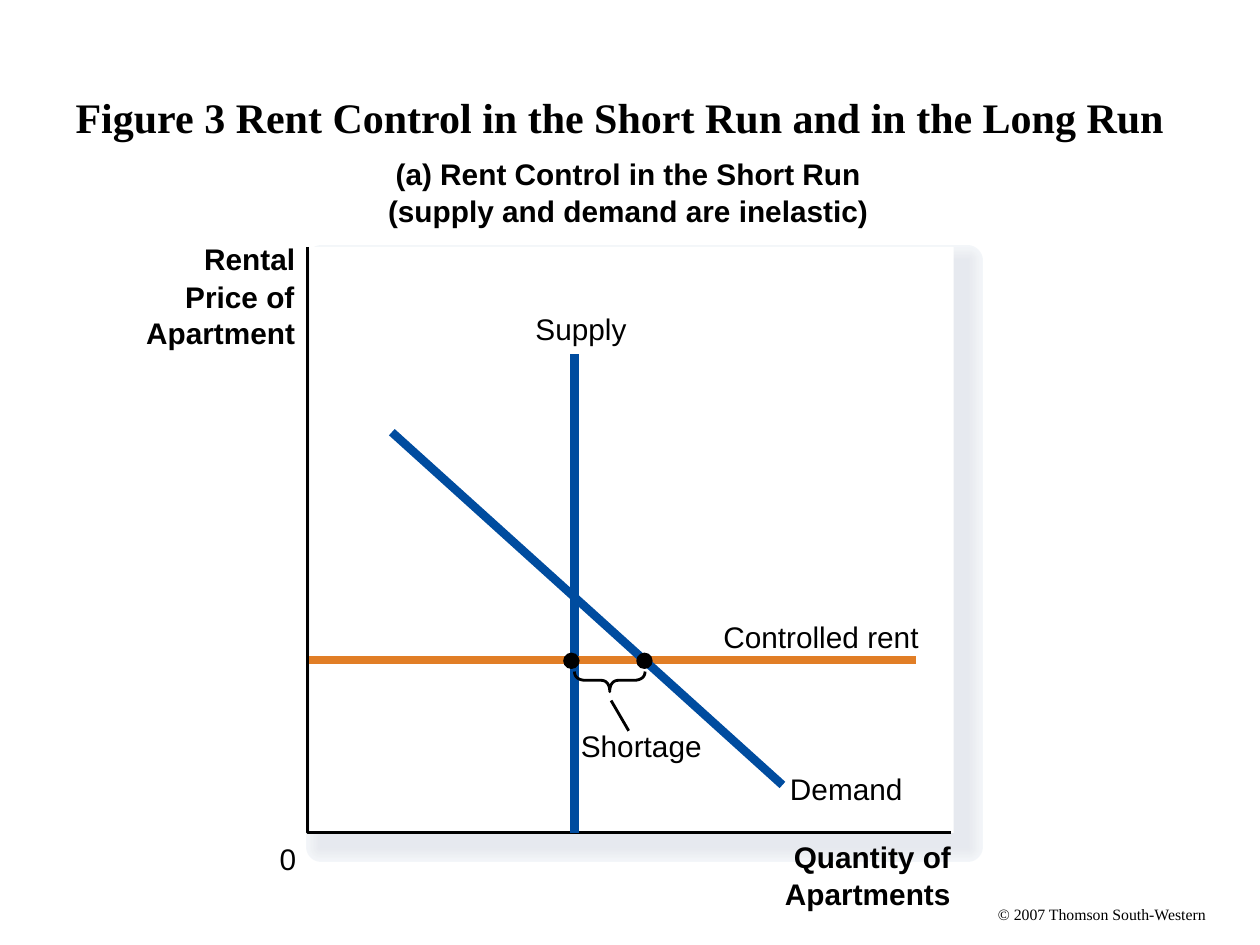
import dataclasses

import pptx
import pptx.dml.color
import pptx.enum.shapes
import pptx.enum.text
import pptx.oxml
import pptx.oxml.ns
import pptx.util

Inches = pptx.util.Inches
Shapes = pptx.enum.shapes.MSO_SHAPE


@dataclasses.dataclass(frozen=True)
class Theme:
    black: str = "000000"
    white: str = "FFFFFF"
    curve: str = "004C9F"
    control: str = "E17E26"
    shadow: tuple = ("F3F6F9", "F2F4F8", "F1F4F7", "F0F2F5", "EEF1F4", "EDEFF3",
                     "EBEEF2", "EAECF1", "E9EBF0", "E7EAEF", "E6E9EF")
    serif: str = "Times New Roman"
    sans: str = "Arial"
    title_size: float = 24
    label_size: float = 17
    small_size: float = 9
    thin: float = 1.62
    thick: float = 4.87


@dataclasses.dataclass(frozen=True)
class Box:
    left: float
    top: float
    width: float
    height: float

    def inside(self, x, y, width, height):
        return Box(self.left + x, self.top + y, width, height)

    def point(self, x, y):
        return Inches(self.left + x), Inches(self.top + y)

    def lengths(self):
        return [Inches(v) for v in (self.left, self.top, self.width, self.height)]


THEME = Theme()


def rgb(value):
    return pptx.dml.color.RGBColor.from_string(value)


def write_run(paragraph, text, size, font, bold=False):
    run = paragraph.add_run()
    run.text = text
    run.font.size = pptx.util.Pt(size)
    run.font.name = font
    run.font.bold = bold
    run.font.color.rgb = rgb(THEME.black)


def add_label(shapes, box, text, bold=False, size=THEME.label_size, font=THEME.sans):
    frame = shapes.add_textbox(*box.lengths()).text_frame
    frame.word_wrap = True
    frame.margin_left = frame.margin_right = frame.margin_top = frame.margin_bottom = 0
    write_run(frame.paragraphs[0], text, size, font, bold)


def style_line(line, color, width):
    line.color.rgb = rgb(color)
    line.width = pptx.util.Pt(width)


def add_filled(shapes, kind, box, color, line_width=None):
    shape = shapes.add_shape(kind, *box.lengths())
    shape.shadow.inherit = False
    shape.fill.solid()
    shape.fill.fore_color.rgb = rgb(color)
    if line_width:
        style_line(shape.line, color, line_width)
    else:
        shape.line.fill.background()


def add_line(shapes, start, end, color, width):
    line = shapes.add_connector(pptx.enum.shapes.MSO_CONNECTOR.STRAIGHT, *start, *end)
    style_line(line.line, color, width)
    properties = line._element.spPr
    properties.append(pptx.oxml.parse_xml(
        "<a:effectLst %s/>" % pptx.oxml.ns.nsdecls("a")))


def add_outline(shapes, points):
    builder = shapes.build_freeform(*points[0])
    builder.add_line_segments(points[1:], close=False)
    shape = builder.convert_to_shape()
    shape.shadow.inherit = False
    shape.fill.background()
    style_line(shape.line, THEME.black, THEME.thin)


def curve_points(controls, steps=10):
    """Points along a cubic curve, both ends included."""
    a, b, c, d = controls
    points = []
    for step in range(steps + 1):
        t = step / steps
        weights = ((1 - t) ** 3, 3 * t * (1 - t) ** 2, 3 * t ** 2 * (1 - t), t ** 3)
        points.append(tuple(sum(w * p[axis] for w, p in zip(weights, (a, b, c, d)))
                            for axis in (0, 1)))
    return points


def add_title(slide, box):
    title = slide.shapes.title
    title.left, title.top, title.width, title.height = box.lengths()
    frame = title.text_frame
    frame.auto_size = pptx.enum.text.MSO_AUTO_SIZE.NONE
    frame.vertical_anchor = pptx.enum.text.MSO_ANCHOR.MIDDLE
    paragraph = frame.paragraphs[0]
    paragraph.alignment = pptx.enum.text.PP_ALIGN.LEFT
    write_run(paragraph, "Figure 3 Rent Control in the Short Run and in the Long Run",
              THEME.title_size, THEME.serif, bold=True)


def add_plot_area(shapes, box):
    # Soft shadow: outlines narrow as the colour deepens
    shadow_box = box.inside(0.11, 0.11, 5.13, box.height)
    for index, color in enumerate(THEME.shadow):
        add_filled(shapes, Shapes.RECTANGLE, shadow_box, color, 17.62 - 1.6 * index)
    add_filled(shapes, Shapes.RECTANGLE,
               box.inside(0.02, 0, box.width, box.height), THEME.white)
    add_outline(shapes, [box.point(0, 0), box.point(0, box.height),
                         box.point(box.width, box.height)])


def add_headings(shapes, box):
    # Panel heading and axis names: x, y, width, text
    headings = (
        (0.7, -0.72, 4, "(a) Rent Control in the Short Run"),
        (0.64, -0.43, 4.16, "(supply and demand are inelastic)"),
        (3.86, 4.7, 1.43, "Quantity of"),
        (3.79, 4.99, 1.51, "Apartments"),
        (-0.82, -0.05, 0.88, "Rental"),
        (-0.97, 0.25, 1.05, "Price of"),
        (-1.28, 0.54, 1.37, "Apartment"),
    )
    for x, y, width, text in headings:
        add_label(shapes, box.inside(x, y, width, 0.36), text, bold=True)
    add_label(shapes, box.inside(-0.22, 4.71, 0.25, 0.34), "0")


def add_curves(shapes, box):
    # Line start, line end, colour, label place and width, label
    curves = (
        ((2.12, 4.65), (2.12, 0.85), THEME.curve, (1.81, 0.51, 0.87), "Supply"),
        ((4.83, 3.28), (0.01, 3.28), THEME.control, (3.3, 2.95, 1.71), "Controlled rent"),
        ((0.67, 1.47), (3.77, 4.27), THEME.curve, (3.83, 4.16, 1.04), "Demand"),
    )
    for start, end, color, label_place, text in curves:
        group = shapes.add_group_shape().shapes
        add_line(group, box.point(*start), box.point(*end), color, THEME.thick)
        add_label(group, box.inside(*label_place, 0.34), text)


def add_shortage(shapes, box):
    group = shapes.add_group_shape().shapes
    add_line(group, box.point(2.41, 3.6), box.point(2.55, 3.84), THEME.black, THEME.thin)

    # Brace: one half drawn from its tip, then mirrored
    tip_x, half, top, middle, bottom = 2.4, 0.28, 3.37, 3.44, 3.53
    right = (curve_points(((half, top), (half, 3.42), (0.24, middle), (0.19, middle)))
             + curve_points(((0.07, middle), (0.02, middle), (0, 3.48), (0, bottom))))
    left = [(-x, y) for x, y in reversed(right)]
    add_outline(group, [box.point(tip_x + x, y) for x, y in right + left[1:]])

    # Quantities at the controlled rent
    for x in (2.61, 2.03):
        add_filled(group, Shapes.OVAL, box.inside(x, 3.22, 0.13, 0.13), THEME.black)
    add_label(group, box.inside(2.17, 3.82, 1.1, 0.34), "Shortage")


def main():
    presentation = pptx.Presentation()
    presentation.slide_width, presentation.slide_height = Inches(10), Inches(7.5)
    slide = presentation.slides.add_slide(presentation.slide_layouts[5])
    plot = Box(2.44, 1.96, 5.11, 4.65)

    add_title(slide, Box(0.5, 0.3, 9, 1.25))
    add_label(slide.shapes, Box(7.92, 7.18, 1.7, 0.15), "© 2007 Thomson South-Western",
              size=THEME.small_size, font=THEME.serif)
    add_plot_area(slide.shapes, plot)
    add_headings(slide.shapes, plot)
    add_curves(slide.shapes, plot)
    add_shortage(slide.shapes, plot)
    presentation.save("out.pptx")


if __name__ == "__main__":
    main()
